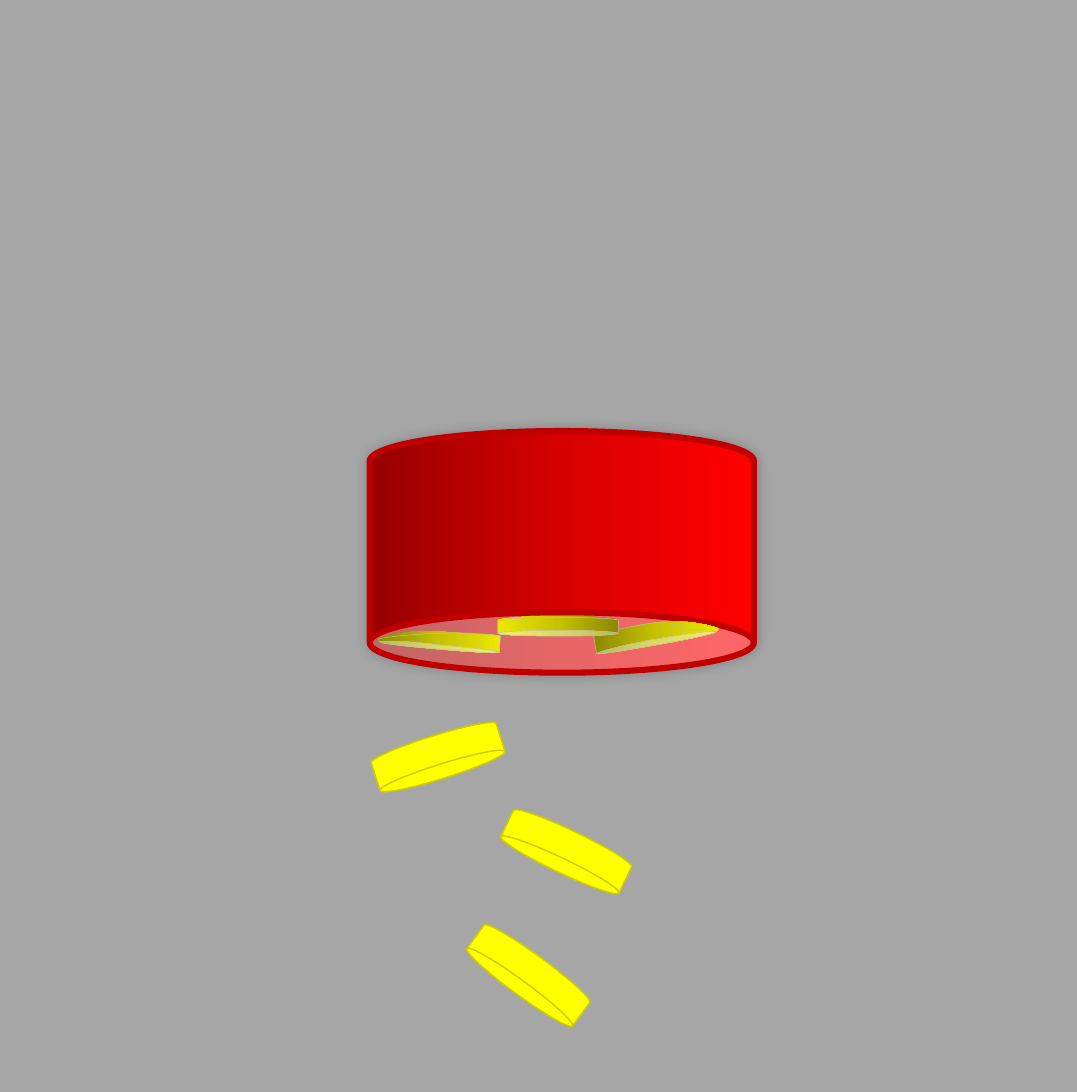
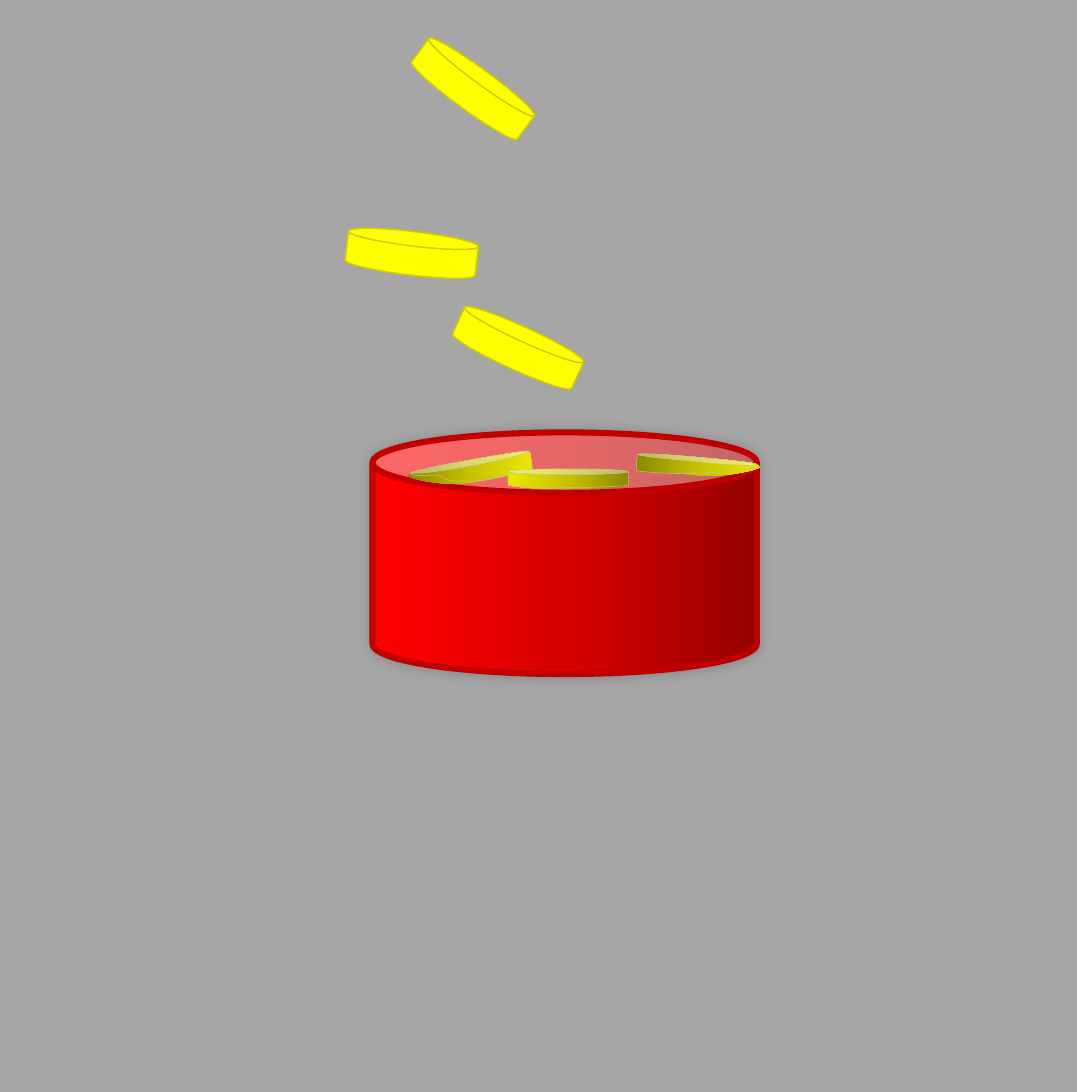
import lxml.etree
import pptx
import pptx.dml.color
import pptx.enum.shapes
import pptx.oxml
import pptx.oxml.ns
import pptx.util

THEME = {
    "page": "A6A6A6",
    "coin": {"fill": "FFFF00", "line": "CCCC00", "width": 0.75},
    "tin": {"stops": ["970000", "D70000", "FF0000"], "line": "C00000", "width": 3},
    "stacked": {"stops": ["8B8800", "C6C200", "EBE600"], "line": "C4BD97", "width": 0.25},
}
PX = 9144
TURN = (774, 759)
TIN = (256, 297, 264, 166)
COIN_SIZE = (90, 30)

STACKED_COINS = [
    {"angle": 0, "shift": (0, 0),
     "front": [(282, 325), (283, 326), (301, 324), (323, 320), (346, 316), (364, 311), (364, 310)],
     "back": [(282, 325), (282, 324), (300, 320), (323, 316), (345, 312), (364, 309), (364, 310)],
     "under": [(366, 322), (366, 323), (348, 327), (326, 331), (303, 335), (280, 328), (280, 327)],
     "edge": [(366, 322), (366, 323), (336, 330), (326, 331), (315, 332), (304, 329), (304, 328),
              (303, 324), (283, 329), (282, 325)]},
    {"angle": 0, "shift": (7, 1),
     "front": [(438, 312), (438, 313), (456, 315), (479, 317), (502, 320), (520, 320), (520, 319)],
     "back": [(438, 312), (438, 311), (456, 312), (479, 314), (502, 316), (520, 318), (520, 319)],
     "under": [(522, 321), (522, 322), (498, 329), (475, 326), (452, 324), (437, 324), (437, 323)],
     "edge": [(521, 321), (521, 322), (492, 325), (478, 325), (464, 326), (437, 324), (437, 323)]},
    {"angle": 180, "shift": (0, 0),
     "front": [(349, 324), (349, 325), (367, 326), (390, 326), (413, 326), (432, 325), (432, 324)],
     "back": [(349, 324), (349, 323), (367, 322), (390, 322), (413, 322), (432, 323), (432, 324)],
     "under": [(432, 333), (432, 334), (413, 336), (390, 336), (367, 336), (349, 334), (349, 333)],
     "edge": [(432, 333), (432, 334), (403, 335), (389, 335), (375, 335), (349, 334), (349, 333)]},
]

PAGES = [
    {"turned": True, "falling": [(318, 655, 216.2), (344, 570, 205.5), (256, 505, 162.6)]},
    {"turned": False, "falling": [(280, 46, 36.2), (238, 159, 6.8), (311, 224, 24.6)]},
]


class Painter:
    """Draws tins and coins on the current page in one shared style."""

    def __init__(self, theme):
        self.theme = theme
        self.deck = pptx.Presentation()
        for name, length in {"slide_width": 740, "slide_height": 750}.items():
            setattr(self.deck, name, length * PX)

    def add_page(self):
        """Start a blank page with the shared background."""
        self.page = self.deck.slides.add_slide(self.deck.slide_layouts[6])
        fill = self.page.background.fill
        fill.solid()
        fill.fore_color.rgb = self.color(self.theme["page"])

    def color(self, code):
        """Return a colour for a hex code."""
        return pptx.dml.color.RGBColor.from_string(code)

    def dress(self, shape, style, angle=0):
        """Give a shape its fill and outline."""
        shape.shadow.inherit = False
        if "fill" in style:
            shape.fill.solid()
            shape.fill.fore_color.rgb = self.color(style["fill"])
        else:
            self.shade(shape, style["stops"], angle)
        shape.line.color.rgb = self.color(style["line"])
        shape.line.width = pptx.util.Pt(style["width"])

    def shade(self, shape, stops, angle):
        """Fill a shape with a gradient fixed to the page."""
        shape.fill.background()
        stop_list = "".join(
            f'<a:gs pos="{index * 50000}"><a:srgbClr val="{code}"/></a:gs>'
            for index, code in enumerate(stops))
        gradient = pptx.oxml.parse_xml(
            f'<a:gradFill {pptx.oxml.ns.nsdecls("a")} rotWithShape="0"><a:gsLst>{stop_list}</a:gsLst>'
            f'<a:lin ang="{angle * 60000}" scaled="0"/></a:gradFill>')
        properties = shape._element.spPr
        properties.replace(properties.find(pptx.oxml.ns.qn("a:noFill")), gradient)

    def preset(self, kind, frame, rotation, style, angle=0):
        """Add a rotated preset shape."""
        shape = self.page.shapes.add_shape(kind, *(length * PX for length in frame))
        shape.rotation = rotation
        self.dress(shape, style, angle)
        return shape

    def tin(self, turned):
        """Add the red tin, upright or turned over."""
        left, top, width, height = TIN
        if turned:
            left, top = TURN[0] - left - width, TURN[1] - top - height
        shape = self.preset(pptx.enum.shapes.MSO_SHAPE.CAN, (left, top, width, height),
                            180 if turned else 0, self.theme["tin"], 0 if turned else 180)
        effects = shape._element.spPr.find(pptx.oxml.ns.qn("a:effectLst"))
        effects.append(pptx.oxml.parse_xml(
            f'<a:outerShdw {pptx.oxml.ns.nsdecls("a")} blurRad="76200" dist="0" dir="18900000" '
            'rotWithShape="0"><a:srgbClr val="000000"><a:alpha val="20000"/></a:srgbClr></a:outerShdw>'))

    def falling_coin(self, left, top, rotation):
        """Add a loose coin."""
        self.preset(pptx.enum.shapes.MSO_SHAPE.FLOWCHART_MAGNETIC_DISK,
                    (left, top, *COIN_SIZE), rotation, self.theme["coin"])

    def stacked_coin(self, coin, turned):
        """Add a coin that lies partly hidden in the tin."""
        arcs = {}
        for name in ("front", "back", "under", "edge"):
            arcs[name] = coin[name]
            if turned:
                across, down = (sum(pair) for pair in zip(TURN, coin["shift"]))
                arcs[name] = [(across - x, down - y) for x, y in coin[name]]
        front, back, under, edge = arcs.values()
        points = front + back + under + edge
        builder = self.page.shapes.build_freeform(*points[0], scale=PX)
        builder.add_line_segments(points[1:])
        shape = builder.convert_to_shape()
        origin = tuple(min(axis) for axis in zip(*points))
        reverse = front[::-1]
        outlines = [
            ({"stroke": "0"}, [("moveTo", front[:1]), ("cubicBezTo", front[1:]),
                               ("lnTo", under[:1]), ("cubicBezTo", under[1:]), ("close", [])]),
            ({"stroke": "0", "fill": "lighten"},
             [("moveTo", back[:1]), ("cubicBezTo", back[1:]),
              ("cubicBezTo", reverse[1:]), ("close", [])]),
            ({"fill": "none"}, [("moveTo", reverse[:1]), ("cubicBezTo", reverse[1:]),
                                ("cubicBezTo", back[1:]), ("lnTo", edge[:1]),
                                ("cubicBezTo", edge[1:]), ("lnTo", front[:1])]),
        ]
        self.trace(shape, outlines, origin)
        self.dress(shape, self.theme["stacked"], coin["angle"])

    def trace(self, shape, outlines, origin):
        """Replace the outline of a freeform with curved contours."""
        tag = pptx.oxml.ns.qn
        contours = next(shape._element.iter(tag("a:pathLst")))
        size = {name: contours[0].get(name) for name in ("w", "h")}
        contours.remove(contours[0])
        for options, steps in outlines:
            contour = lxml.etree.SubElement(contours, tag("a:path"), {**size, **options})
            for command, points in steps:
                stride = 3 if command == "cubicBezTo" else 1
                for start in range(0, max(len(points), 1), stride):
                    step = lxml.etree.SubElement(contour, tag("a:" + command))
                    for x, y in points[start:start + stride]:
                        place = {"x": str(x - origin[0]), "y": str(y - origin[1])}
                        lxml.etree.SubElement(step, tag("a:pt"), place)


def main():
    """Build both pages and save the deck."""
    painter = Painter(THEME)
    for scene in PAGES:
        painter.add_page()
        painter.tin(scene["turned"])
        for coin in STACKED_COINS:
            painter.stacked_coin(coin, scene["turned"])
        for place in scene["falling"]:
            painter.falling_coin(*place)
    painter.deck.save("out.pptx")


if __name__ == "__main__":
    main()
